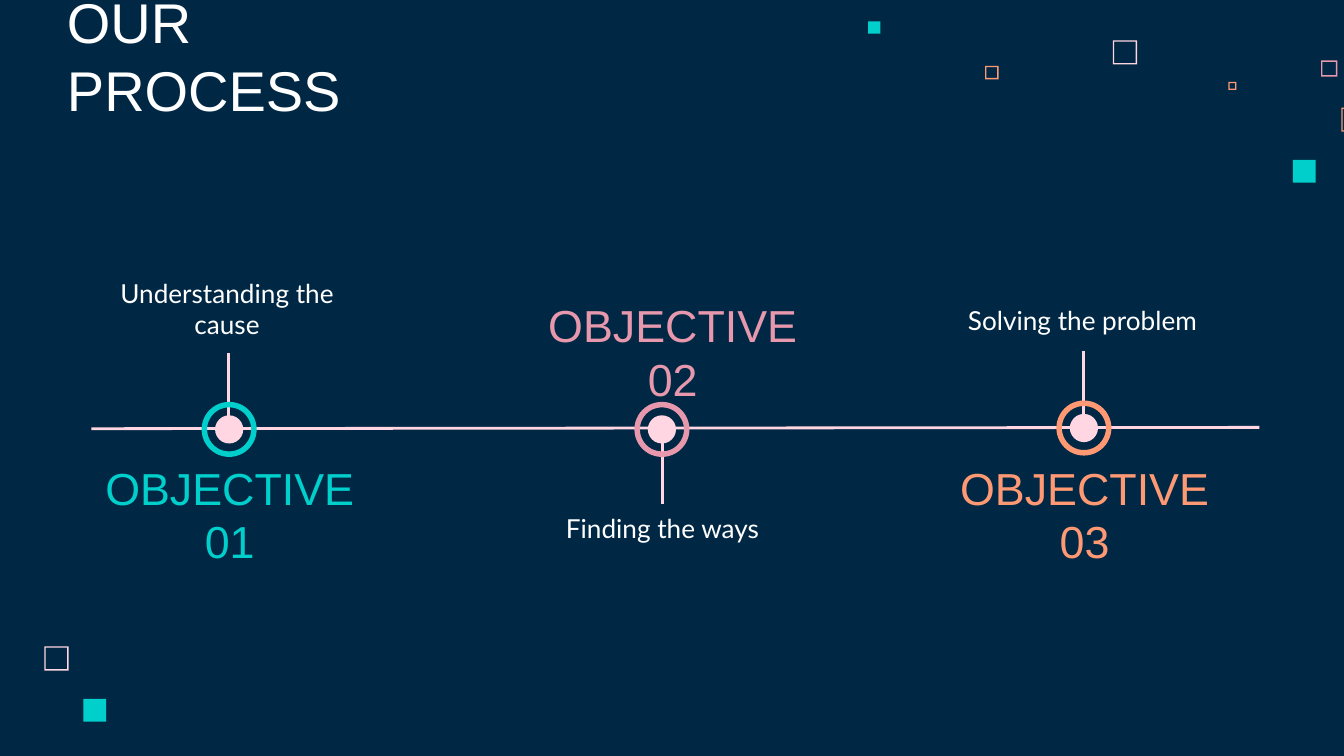
from typing import NamedTuple

from lxml import etree
from pptx import Presentation
from pptx.dml.color import RGBColor
from pptx.enum.shapes import MSO_CONNECTOR, MSO_SHAPE
from pptx.enum.text import MSO_ANCHOR, PP_ALIGN
from pptx.util import Inches, Pt

NAVY = RGBColor(0x00, 0x28, 0x45)
PINK = RGBColor(0xFF, 0xD6, 0xE1)
ROSE = RGBColor(0xE8, 0x98, 0xAC)
CORAL = RGBColor(0xFF, 0x99, 0x73)
TEAL = RGBColor(0x00, 0xCF, 0xCC)
WHITE = RGBColor(0xFF, 0xFF, 0xFF)

FRAME, BLOCK = MSO_SHAPE.FRAME, MSO_SHAPE.RECTANGLE
DOT, RING = MSO_SHAPE.OVAL, MSO_SHAPE.DONUT
STRAIGHT = MSO_CONNECTOR.STRAIGHT
TOP, MIDDLE, BOTTOM = MSO_ANCHOR.TOP, MSO_ANCHOR.MIDDLE, MSO_ANCHOR.BOTTOM
LEFT, CENTER = PP_ALIGN.LEFT, PP_ALIGN.CENTER

DRAWING = "http://schemas.openxmlformats.org/drawingml/2006/main"
EDGE = 0.01
DOT_SIZE, RING_SIZE = 0.21, 0.41


class Square(NamedTuple):
    left: float
    top: float
    size: float
    color: RGBColor
    solid: bool = False


class Box(NamedTuple):
    left: float
    top: float
    width: float
    height: float
    anchor: MSO_ANCHOR


class Stem(NamedTuple):
    x: float
    top: float
    end: float


class Step(NamedTuple):
    name: str
    note: str
    color: RGBColor
    left: float
    top: float
    stem: Stem
    name_box: Box
    note_box: Box


SQUARES = [
    Square(8.28, 0.3, 0.18, PINK),
    Square(9.83, 0.45, 0.12, ROSE),
    Square(9.14, 0.61, 0.06, CORAL),
    Square(9.98, 0.8, 0.18, CORAL),
    Square(9.62, 1.19, 0.17, TEAL, True),
    Square(7.33, 0.49, 0.1, CORAL),
    Square(6.46, 0.16, 0.09, TEAL, True),
    Square(0.33, 4.81, 0.18, PINK),
    Square(0.62, 5.2, 0.17, TEAL, True),
]

STEPS = [
    Step("OBJECTIVE 01", "Understanding the cause", TEAL, 1.5, 2.99,
         Stem(1.7, 2.63, 3.13),
         Box(0.66, 3.59, 2.1, 0.47, MIDDLE), Box(0.66, 1.93, 2.06, 0.7, BOTTOM)),
    Step("OBJECTIVE 02", "Finding the ways", ROSE, 4.72, 2.99,
         Stem(4.93, 3.26, 3.75),
         Box(3.9, 2.38, 2.21, 0.47, MIDDLE), Box(4.06, 3.71, 1.74, 0.47, TOP)),
    Step("OBJECTIVE 03", "Solving the problem", CORAL, 7.86, 2.98,
         Stem(8.06, 2.61, 3.11),
         Box(6.91, 3.59, 2.32, 0.47, MIDDLE), Box(6.9, 2.13, 2.31, 0.47, BOTTOM)),
]


def add_form(slide, kind: MSO_SHAPE, left: float, top: float, size: float,
             color: RGBColor, adjust: float | None = None) -> None:
    form = slide.shapes.add_shape(kind, Inches(left), Inches(top),
                                  Inches(size), Inches(size))
    form.shadow.inherit = False
    form.fill.solid()
    form.fill.fore_color.rgb = color
    form.line.fill.background()
    if adjust is not None:
        form.adjustments[0] = adjust


def add_line(slide, x1: float, y1: float, x2: float, y2: float) -> None:
    line = slide.shapes.add_connector(STRAIGHT, Inches(x1), Inches(y1),
                                      Inches(x2), Inches(y2))
    line.line.color.rgb = PINK
    line.line.width = Pt(1.5)
    etree.SubElement(line._element.spPr, f"{{{DRAWING}}}effectLst")


def add_text(slide, text: str, box: Box, font: str, size: int,
             color: RGBColor, align: PP_ALIGN = CENTER) -> None:
    shape = slide.shapes.add_textbox(Inches(box.left), Inches(box.top),
                                     Inches(box.width), Inches(box.height))
    frame = shape.text_frame
    frame.word_wrap = True
    frame.vertical_anchor = box.anchor
    frame.margin_left = frame.margin_right = Inches(0.1)
    frame.margin_top = frame.margin_bottom = Inches(0.1)
    frame.text = text
    para = frame.paragraphs[0]
    para.alignment = align
    style = para.runs[0].font
    style.name, style.size = font, Pt(size)
    style.color.rgb = color


def add_mark(slide, step: Step) -> None:
    inset = (RING_SIZE - DOT_SIZE) / 2
    add_form(slide, DOT, step.left + inset, step.top + inset, DOT_SIZE, PINK)
    add_form(slide, RING, step.left, step.top, RING_SIZE, step.color, 0.1)


def main() -> None:
    deck = Presentation()
    # Widescreen, 16 by 9
    deck.slide_width = Inches(10)
    deck.slide_height = Inches(10 * 9 / 16)
    slide = deck.slides.add_slide(deck.slide_layouts[6])
    slide.background.fill.solid()
    slide.background.fill.fore_color.rgb = NAVY

    # Scattered squares
    for sq in SQUARES:
        add_form(slide, BLOCK if sq.solid else FRAME, sq.left, sq.top,
                 sq.size, sq.color, None if sq.solid else EDGE / sq.size)

    # Timeline: stems and axis lie behind the marks
    for step in STEPS:
        add_line(slide, step.stem.x, step.stem.top, step.stem.x, step.stem.end)

    # Title
    add_text(slide, "OUR PROCESS", Box(0.4, 0.38, 2.51, 0.63, BOTTOM),
             "Arial", 30, WHITE, LEFT)

    # Axis and marks
    add_line(slide, 0.68, 3.19, 9.37, 3.18)
    for step in STEPS:
        add_mark(slide, step)

    # Labels
    for step in STEPS:
        add_text(slide, step.note, step.note_box, "Lato", 14, WHITE)
    for step in STEPS:
        add_text(slide, step.name, step.name_box, "Arial", 24, step.color)

    deck.save("out.pptx")


if __name__ == "__main__":
    main()
